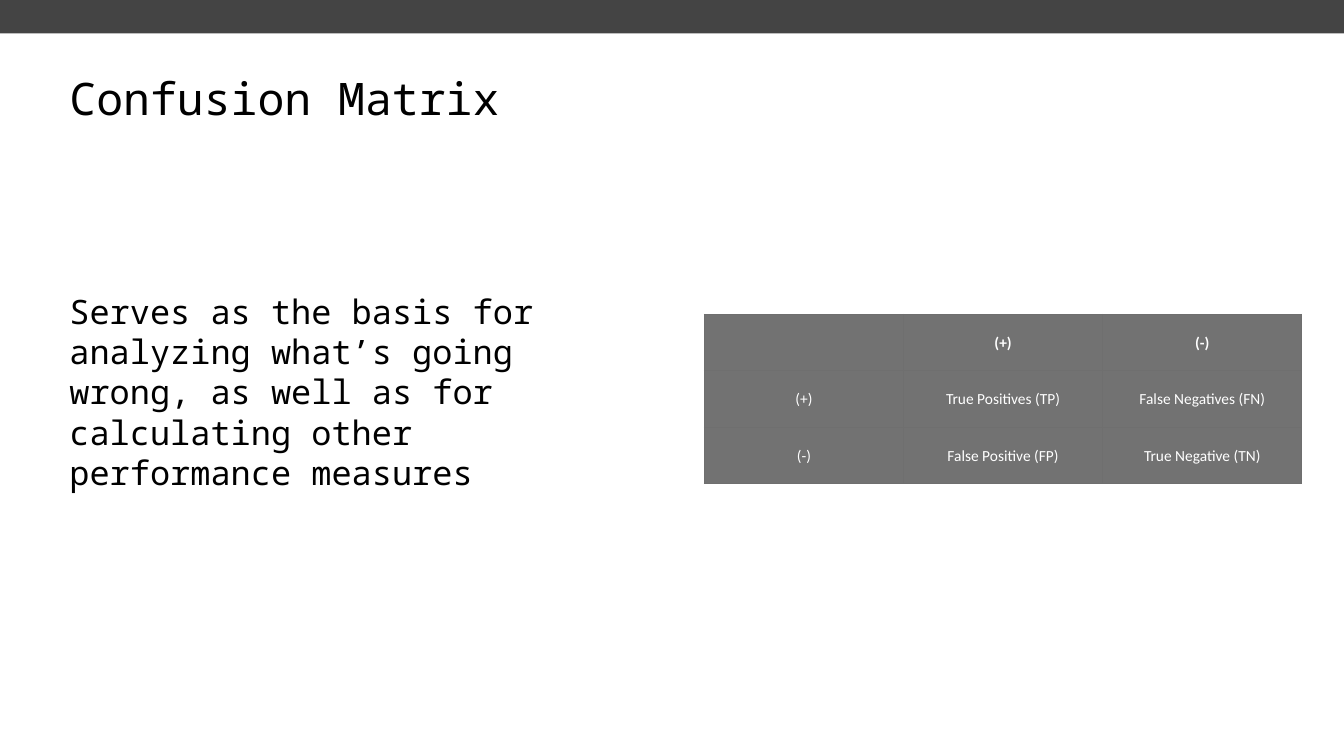
import pptx
import pptx.util
import pptx.dml.color
import pptx.enum.shapes
import pptx.enum.text
from lxml import etree

Cm, Pt = pptx.util.Cm, pptx.util.Pt
MIDDLE = pptx.enum.text.MSO_ANCHOR.MIDDLE
COLORS = {"bar": "444444", "cell": "727272", "border": "6F6F6F", "text": "000000", "light": "FFFFFF"}
rgb = {name: pptx.dml.color.RGBColor.from_string(c) for name, c in COLORS.items()}


def add_run(p, text, font, size, color, bold=False):
    r = p.add_run()
    r.text = text
    r.font.name = font
    r.font.size = Pt(size)
    r.font.bold = bold
    r.font.color.rgb = rgb[color]


def add_borders(cell):
    tcPr = cell._tc.get_or_add_tcPr()
    for i, side in enumerate(("lnL", "lnR", "lnT", "lnB")):
        ln = etree.Element(pptx.oxml.ns.qn(f"a:{side}"), w=str(Pt(0.75)))
        fill = etree.SubElement(ln, pptx.oxml.ns.qn("a:solidFill"))
        etree.SubElement(fill, pptx.oxml.ns.qn("a:srgbClr"), val=COLORS["border"])
        tcPr.insert(i, ln)


prs = pptx.Presentation()
prs.slide_width, prs.slide_height = Cm(33.87), Cm(19.05)
s = prs.slides.add_slide(prs.slide_layouts[6])

bar = s.shapes.add_shape(pptx.enum.shapes.MSO_SHAPE.RECTANGLE, 0, 0, prs.slide_width, Cm(0.84))
bar.shadow.inherit = False
bar.fill.solid()
bar.fill.fore_color.rgb = rgb["bar"]
bar.line.fill.background()

texts = [
    ("Confusion Matrix", 32, 0.9, 1.19, 31.32, 2.74, 0.13),
    ("Serves as the basis for analyzing what’s going wrong, as well as for calculating other performance measures",
     24, 1.0, 4.34, 15.19, 12.24, 1.32),
]
for text, size, spacing, top, width, height, bottom in texts:
    tf = s.shapes.add_textbox(Cm(1.5), Cm(top), Cm(width), Cm(height)).text_frame
    tf.word_wrap = True
    tf.vertical_anchor = MIDDLE
    tf.margin_bottom = Cm(bottom)
    p = tf.paragraphs[0]
    p.line_spacing = spacing
    p.space_before = Pt(size * 0.2)
    add_run(p, text, "Noto Sans Mono", size, "text")

matrix = [
    ["", "(+)", "(-)"],
    ["(+)", "True Positives (TP)", "False Negatives (FN)"],
    ["(-)", "False Positive (FP)", "True Negative (TN)"],
]
table = s.shapes.add_table(3, 3, Cm(17.75), Cm(7.92), Cm(15.06), Cm(4.26)).table
for i, row in enumerate(matrix):
    for j, text in enumerate(row):
        cell = table.cell(i, j)
        cell.fill.solid()
        cell.fill.fore_color.rgb = rgb["cell"]
        cell.vertical_anchor = MIDDLE
        cell.margin_left = cell.margin_right = cell.margin_top = Cm(0.03)
        cell.margin_bottom = 0
        add_borders(cell)
        if text:
            p = cell.text_frame.paragraphs[0]
            p.alignment = pptx.enum.text.PP_ALIGN.CENTER
            add_run(p, text, "Calibri", 11, "light", bold=i == 0)

prs.save("out.pptx")
